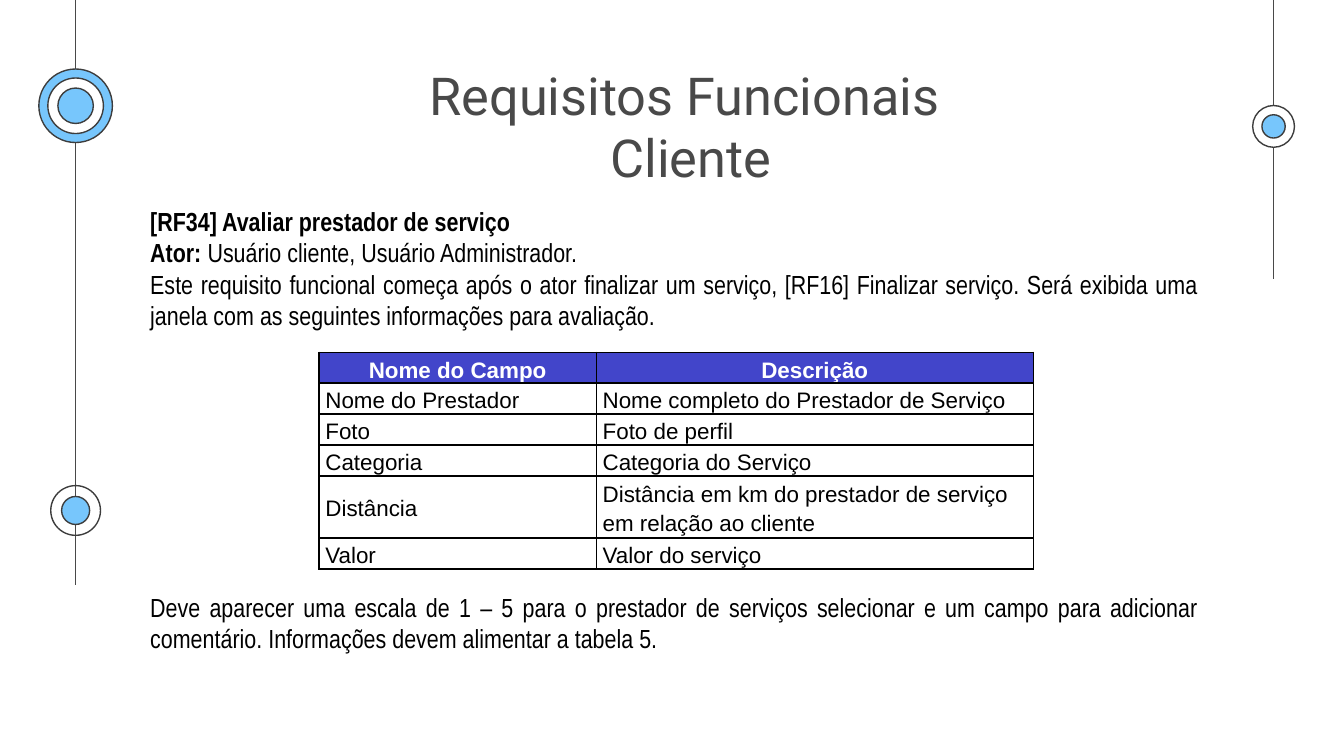
"""Builds the slide on requirement RF34, rating a service provider."""
from lxml.etree import SubElement
from pptx import Presentation
from pptx.dml.color import RGBColor
from pptx.enum.shapes import MSO_CONNECTOR, MSO_SHAPE
from pptx.enum.text import MSO_ANCHOR, MSO_AUTO_SIZE, PP_ALIGN
from pptx.oxml import parse_xml
from pptx.oxml.ns import nsdecls, qn
from pptx.util import Cm, Pt

GREY = RGBColor(0x49, 0x49, 0x49)
OUTLINE = RGBColor(0x3D, 0x3D, 0x3D)
SKY = RGBColor(0x77, 0xC6, 0xFC)
WHITE = RGBColor(0xFF, 0xFF, 0xFF)
BLACK = RGBColor(0, 0, 0)
INDIGO = RGBColor(0x42, 0x45, 0xCA)

LEFT_X, RIGHT_X = 1.43, 24.07
RAILS = [(LEFT_X, 11.05), (RIGHT_X, 5.28)]
TARGETS = [
    (LEFT_X, 9.65, [(0.94, None), (0.53, SKY)]),
    (RIGHT_X, 2.39, [(0.79, WHITE), (0.44, SKY)]),
    (LEFT_X, 2.0, [(1.39, SKY), (1.05, WHITE), (0.67, SKY)]),
]
INTRO = [
    [("[RF34] Avaliar prestador de serviço", True)],
    [("Ator: ", True), ("Usuário cliente, Usuário Administrador.", False)],
    [("Este requisito funcional começa após o ator finalizar um serviço, "
      "[RF16] Finalizar serviço. Será exibida uma janela com as seguintes "
      "informações para avaliação.", False)],
]
CLOSING = [
    [("Deve aparecer uma escala de 1 – 5 para o prestador de serviços "
      "selecionar e um campo para adicionar comentário. Informações devem "
      "alimentar a tabela 5.", False)],
]
FIELDS = [
    ("Nome do Campo", "Descrição"),
    ("Nome do Prestador", "Nome completo do Prestador de Serviço"),
    ("Foto", "Foto de perfil"),
    ("Categoria", "Categoria do Serviço"),
    ("Distância", "Distância em km do prestador de serviço em relação ao cliente"),
    ("Valor", "Valor do serviço"),
]
ROW_HEIGHT, TALL_ROW = 0.58, 4


def style_font(font, name, size, color, bold=False):
    """Set the typeface, size, colour and weight of a font."""
    font.name, font.size, font.bold = name, Pt(size), bold
    font.color.rgb = color


def add_rail(s, x, bottom):
    """Draw a vertical line from the top edge of the slide."""
    line = s.shapes.add_connector(MSO_CONNECTOR.STRAIGHT, Cm(x), 0, Cm(x), Cm(bottom))
    line.line.color.rgb = GREY
    line.line.width = Pt(0.75)
    SubElement(line._element.spPr, qn("a:effectLst"))


def add_target(s, x, y, rings):
    """Draw concentric circles around a centre, largest first."""
    for size, color in rings:
        sp = s.shapes.add_shape(MSO_SHAPE.OVAL, Cm(x - size / 2), Cm(y - size / 2),
                                Cm(size), Cm(size))
        sp.shadow.inherit = False
        sp.line.color.rgb = OUTLINE
        sp.line.width = Pt(0.75)
        if color is None:
            sp.fill.background()
        else:
            sp.fill.solid()
            sp.fill.fore_color.rgb = color


def set_title(s, text):
    """Place and format the title placeholder."""
    sp = s.shapes.title
    sp.left, sp.top, sp.width, sp.height = Cm(7.77), Cm(0.94), Cm(10.57), Cm(1.6)
    tf = sp.text_frame
    tf.text = text
    tf.word_wrap = True
    tf.auto_size = MSO_AUTO_SIZE.NONE
    tf.vertical_anchor = MSO_ANCHOR.TOP
    tf.margin_left = tf.margin_right = tf.margin_top = tf.margin_bottom = Cm(0.25)
    p = tf.paragraphs[0]
    p.alignment = PP_ALIGN.CENTER
    for r in p.runs:
        style_font(r.font, "Roboto", 28, GREY)


def add_body(s, top, height, paragraphs):
    """Add a justified text box from lists of text and weight pairs."""
    sp = s.shapes.add_textbox(Cm(2.59), Cm(top), Cm(20.32), Cm(height))
    tf = sp.text_frame
    tf.word_wrap = True
    tf.auto_size = MSO_AUTO_SIZE.SHAPE_TO_FIT_TEXT
    for i, parts in enumerate(paragraphs):
        p = tf.add_paragraph() if i else tf.paragraphs[0]
        p.alignment = PP_ALIGN.JUSTIFY
        for text, bold in parts:
            r = p.add_run()
            r.text = text
            style_font(r.font, "Arial Narrow", 14, BLACK, bold)


def add_borders(cell):
    """Give a cell black one-point borders on every side."""
    tcPr = cell._tc.get_or_add_tcPr()
    for side in ("lnL", "lnR", "lnT", "lnB"):
        tcPr.append(parse_xml(
            f'<a:{side} {nsdecls("a")} w="12700"><a:solidFill>'
            f'<a:srgbClr val="{BLACK}"/></a:solidFill></a:{side}>'))


def format_cell(cell, text, header):
    """Fill in one cell, as a header or as a plain cell."""
    cell.text = text
    cell.margin_left = cell.margin_right = Cm(0.12)
    cell.margin_top = cell.margin_bottom = 0
    cell.vertical_anchor = MSO_ANCHOR.BOTTOM if header else MSO_ANCHOR.MIDDLE
    add_borders(cell)
    if header:
        cell.fill.solid()
        cell.fill.fore_color.rgb = INDIGO
    else:
        cell.fill.background()
    p = cell.text_frame.paragraphs[0]
    p.alignment = PP_ALIGN.CENTER if header else PP_ALIGN.LEFT
    p.line_spacing = 1.15
    style_font(p.runs[0].font, "Arial", 12, WHITE if header else BLACK, header)


def add_fields_table(s):
    """Add the table of fields and descriptions."""
    height = ROW_HEIGHT * (len(FIELDS) + 1)
    table = s.shapes.add_table(len(FIELDS), 2, Cm(6.03), Cm(6.66),
                               Cm(13.5), Cm(height)).table
    table.horz_banding = False
    table.columns[0].width, table.columns[1].width = Cm(5.24), Cm(8.26)
    for i, texts in enumerate(FIELDS):
        table.rows[i].height = Cm(ROW_HEIGHT * (2 if i == TALL_ROW else 1))
        for j, text in enumerate(texts):
            format_cell(table.cell(i, j), text, i == 0)


def main():
    """Build and save the presentation."""
    prs = Presentation()
    prs.slide_width, prs.slide_height = Cm(25.4), Cm(14.29)
    s = prs.slides.add_slide(prs.slide_layouts[5])
    for rail in RAILS:
        add_rail(s, *rail)
    for target in TARGETS:
        add_target(s, *target)
    set_title(s, "Requisitos Funcionais \vCliente")
    add_body(s, 3.76, 3.25, INTRO)
    add_fields_table(s)
    add_body(s, 11.05, 1.45, CLOSING)
    prs.save("out.pptx")


if __name__ == "__main__":
    main()
